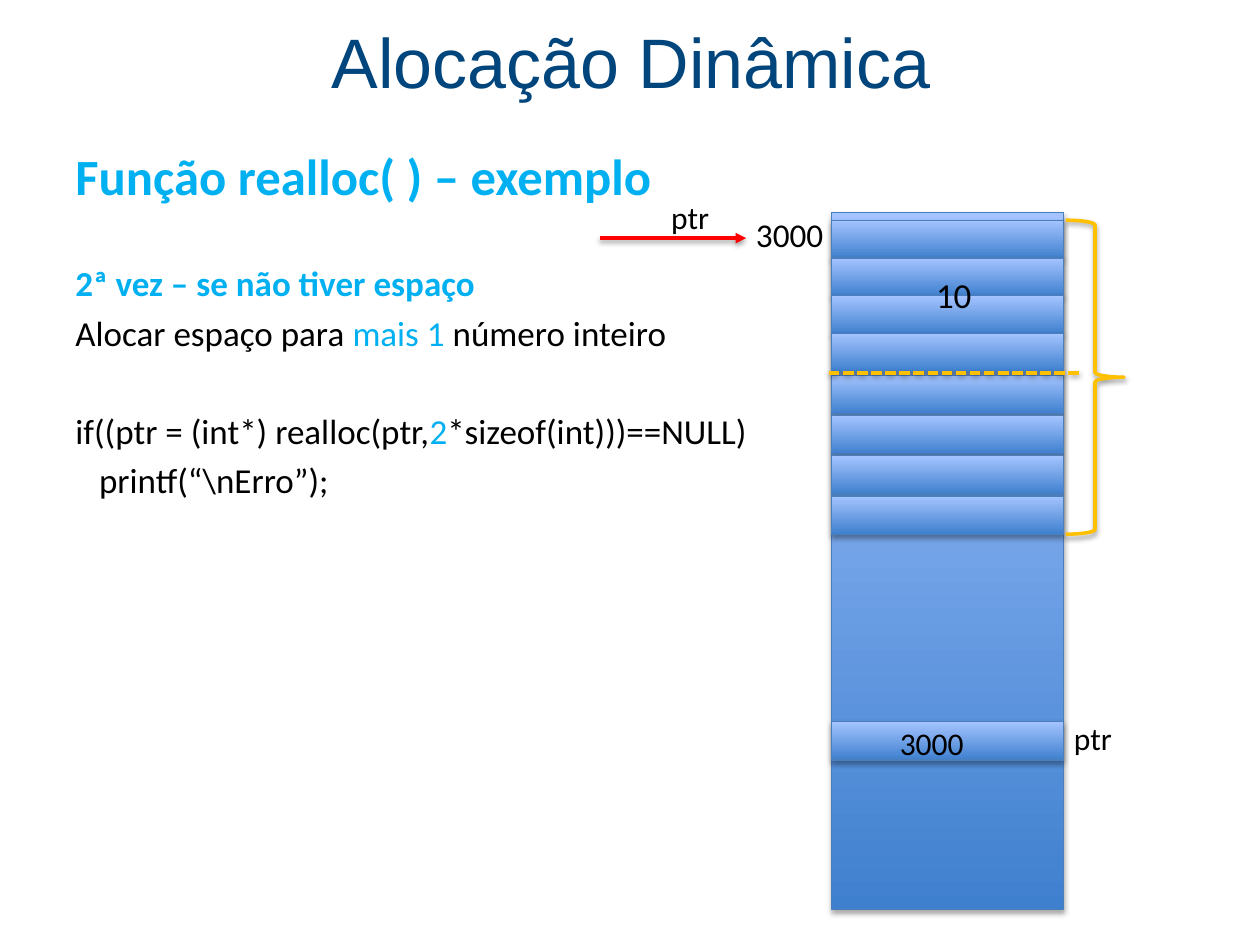
from lxml.etree import SubElement
from pptx import Presentation
from pptx.dml.color import RGBColor
from pptx.enum.dml import MSO_LINE
from pptx.enum.shapes import MSO_CONNECTOR, MSO_SHAPE
from pptx.enum.text import MSO_ANCHOR, PP_ALIGN
from pptx.oxml.ns import qn
from pptx.util import Cm, Pt

COLORS = {
    "title": "00457C", "accent": "00B0F0", "text": "000000",
    "cell_dark": "3F80CE", "cell_light": "A4C4FF", "cell_line": "4B7EBC",
    "arrow": "FF0000", "marker": "FFC000",
}

TITLE = "Alocação Dinâmica"
BODY = [
    (29, True, 0, [("Função realloc( ) – exemplo", "accent")]),
    (20, True, 32, [("2ª vez – se não tiver espaço", "accent")]),
    (20, False, 4, [("Alocar espaço para ", "text"), ("mais 1", "accent"),
                    (" número inteiro", "text")]),
    (20, False, 32, [("if((ptr = (int*) realloc(ptr,", "text"), ("2", "accent"),
                     ("*sizeof(int)))==NULL)", "text")]),
    (20, False, 4, [("   printf(“\\nErro”);", "text")]),
]
LABELS = [
    ("3000", 15.24, 4.32, 19),
    ("ptr", 21.65, 14.5, 18),
    ("3000", 18.14, 14.6, 18),
    ("ptr", 13.53, 4, 18),
    ("10", 18.87, 5.51, 20),
]

MEMORY_LEFT, MEMORY_TOP, MEMORY_WIDTH, MEMORY_HEIGHT = 16.77, 4.29, 4.67, 14.05
CELL_HEIGHT = 0.77
BYTES_PER_INT = 4
INTEGERS = [(4.44, 0.76), (7.57, 0.81)]
POINTER_TOP = 14.55


def color(name):
    return RGBColor.from_string(COLORS[name])


def add_shadow(shape, alpha, distance):
    effects = SubElement(shape._element.spPr, qn("a:effectLst"))
    shadow = SubElement(effects, qn("a:outerShdw"), blurRad=str(Pt(3.1)),
                        dist=str(Pt(distance)), dir="5400000", rotWithShape="0")
    black = SubElement(shadow, qn("a:srgbClr"), val="000000")
    SubElement(black, qn("a:alpha"), val=str(alpha * 1000))


def set_line(shape, name, width):
    shape.line.color.rgb = color(name)
    shape.line.width = Pt(width)


def add_block(page, top, height):
    block = page.shapes.add_shape(MSO_SHAPE.RECTANGLE, Cm(MEMORY_LEFT), Cm(top),
                                  Cm(MEMORY_WIDTH), Cm(height))
    block.fill.gradient()
    block.fill.gradient_angle = 90
    for stop, name in zip(block.fill.gradient_stops, ("cell_dark", "cell_light")):
        stop.color.rgb = color(name)
    set_line(block, "cell_line", 0.75)
    add_shadow(block, 35, 1.8)


def add_line(page, left, right, y, name):
    line = page.shapes.add_connector(MSO_CONNECTOR.STRAIGHT, Cm(left), Cm(y),
                                     Cm(right), Cm(y))
    set_line(line, name, 2)
    add_shadow(line, 38, 1.6)
    return line


def add_box(page, left, top, width, height):
    box = page.shapes.add_textbox(Cm(left), Cm(top), Cm(width), Cm(height))
    box.text_frame.word_wrap = True
    return box.text_frame


def set_font(para, name, size):
    para.font.name = name
    para.font.size = Pt(size)


def add_title(page):
    frame = add_box(page, 0.89, 0.08, 23.65, 2.29)
    frame.vertical_anchor = MSO_ANCHOR.MIDDLE
    para = frame.paragraphs[0]
    para.text = TITLE
    para.alignment = PP_ALIGN.CENTER
    set_font(para, "Arial", 40)
    para.font.color.rgb = color("title")


def add_body(page):
    frame = add_box(page, 1.27, 2.8, 23.57, 15.5)
    for index, (size, bold, before, spans) in enumerate(BODY):
        para = frame.add_paragraph() if index else frame.paragraphs[0]
        set_font(para, "Calibri", size)
        para.font.bold = bold
        if before:
            para.space_before = Pt(before)
        for text, name in spans:
            span = para.add_run()
            span.text = text
            span.font.color.rgb = color(name)


def add_label(page, text, left, top, size):
    frame = add_box(page, left, top, 1.8, 0.8)
    frame.margin_left = frame.margin_right = 0
    frame.margin_top = frame.margin_bottom = 0
    para = frame.paragraphs[0]
    para.text = text
    set_font(para, "Calibri", size)
    para.font.color.rgb = color("text")


def add_memory(page):
    add_block(page, MEMORY_TOP, MEMORY_HEIGHT)
    for top, step in INTEGERS:
        for byte in range(BYTES_PER_INT):
            add_block(page, top + byte * step, CELL_HEIGHT)
    add_block(page, POINTER_TOP, CELL_HEIGHT)


def add_markers(page):
    arrow = add_line(page, 12.09, 15.04, 4.8, "arrow")
    SubElement(arrow.line._get_or_add_ln(), qn("a:tailEnd"), type="triangle")

    brace = page.shapes.add_shape(MSO_SHAPE.RIGHT_BRACE, Cm(21.49), Cm(4.44),
                                  Cm(1.17), Cm(6.33))
    brace.fill.background()
    set_line(brace, "marker", 2)
    add_shadow(brace, 38, 1.6)

    divider = add_line(page, 16.71, 21.79, 7.52, "marker")
    divider.line.dash_style = MSO_LINE.SQUARE_DOT


def main():
    deck = Presentation()
    deck.slide_width, deck.slide_height = Cm(25.4), Cm(19.05)
    page = deck.slides.add_slide(deck.slide_layouts[6])
    add_body(page)
    add_title(page)
    add_memory(page)
    add_markers(page)
    for label in LABELS:
        add_label(page, *label)
    deck.save("out.pptx")


if __name__ == "__main__":
    main()
